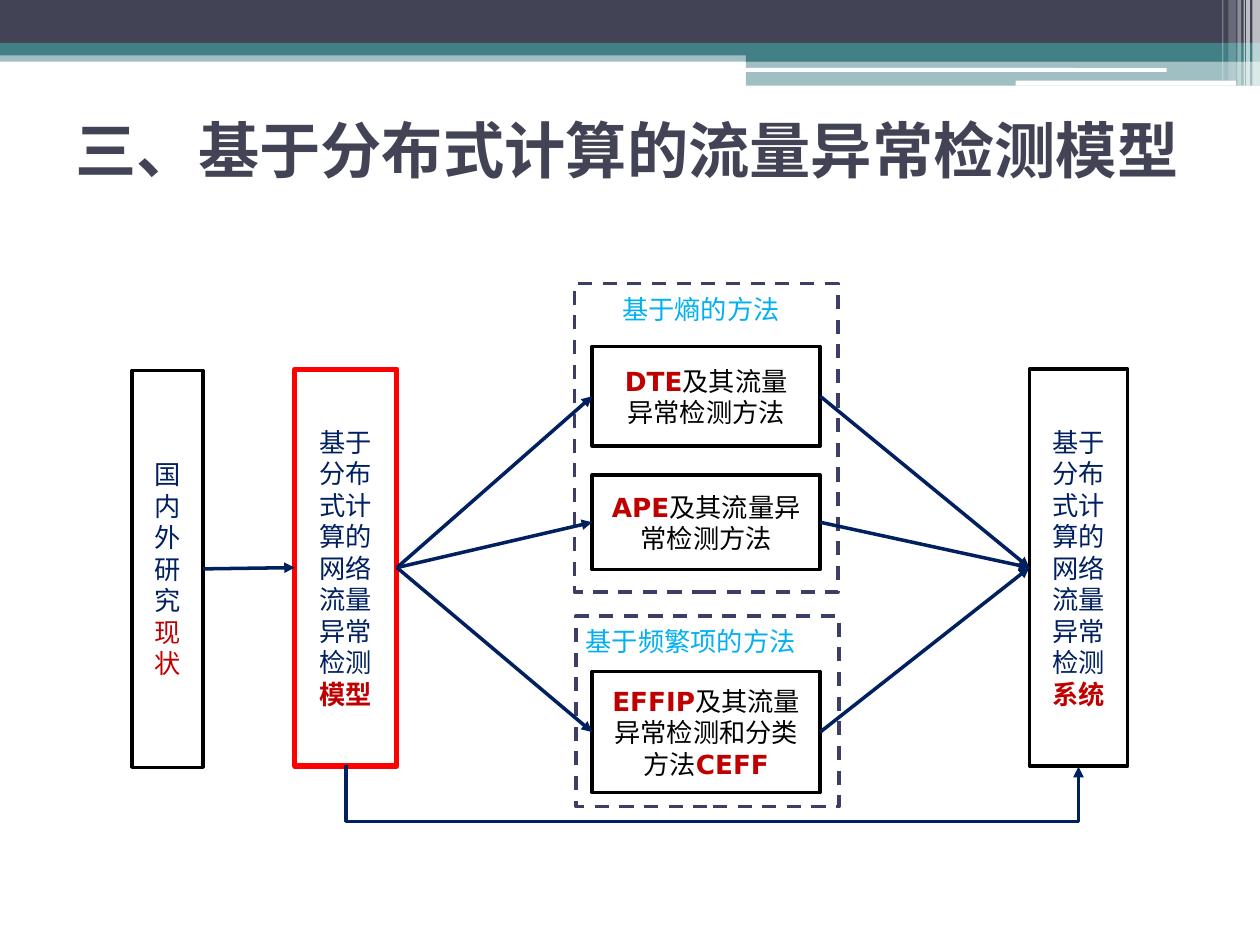
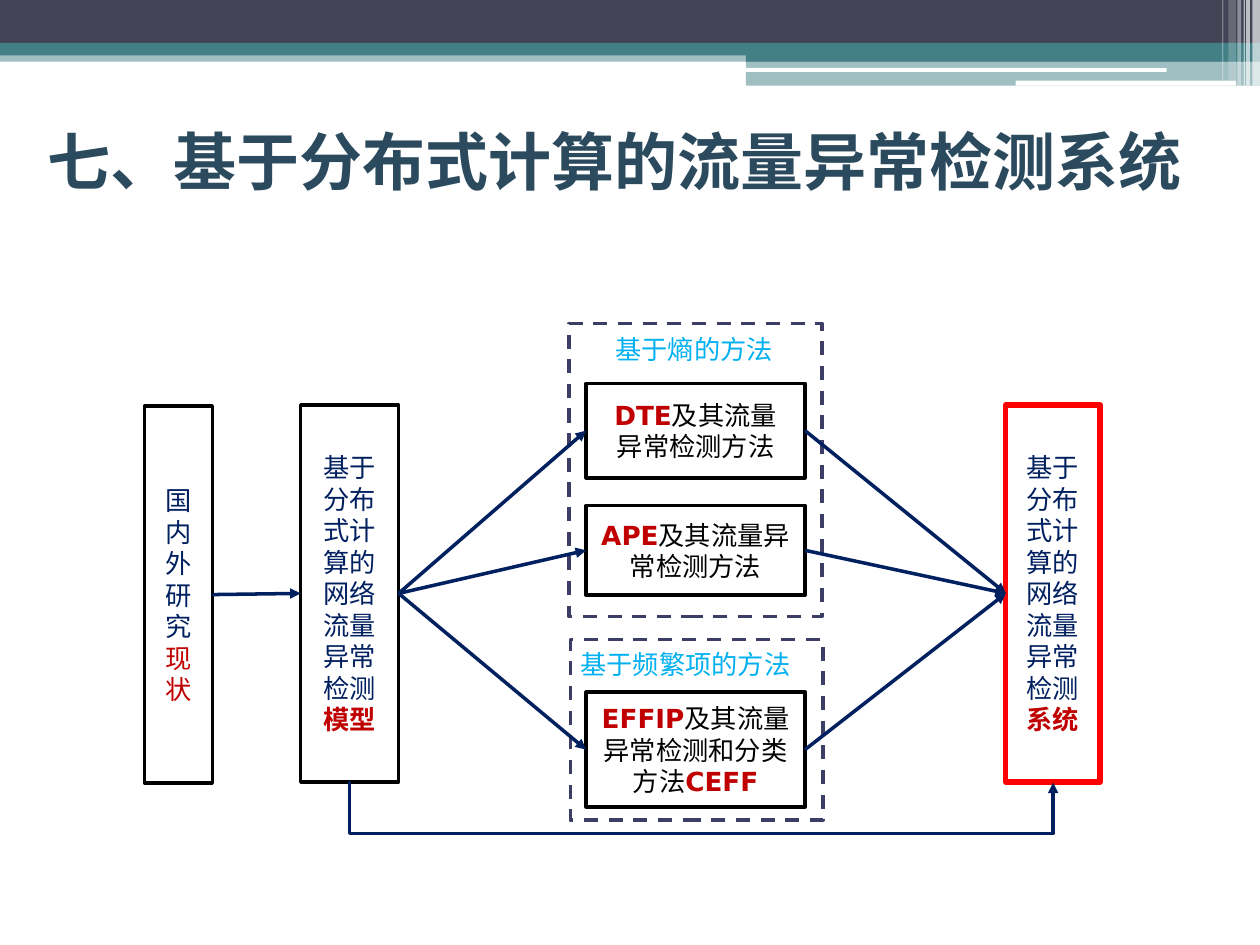
"""Build two slides that show where the model and the system sit in the research on traffic anomalies."""
from lxml.etree import SubElement
from pptx import Presentation
from pptx.dml.color import RGBColor
from pptx.enum.dml import MSO_LINE
from pptx.enum.shapes import MSO_CONNECTOR, MSO_SHAPE
from pptx.enum.text import MSO_ANCHOR, MSO_AUTO_SIZE, PP_ALIGN
from pptx.oxml.ns import qn
from pptx.util import Inches, Pt

COLORS = {
    "slate": "424456", "teal": "438086", "white": "FFFFFF", "steel": "2B4A5E",
    "black": "000000", "highlight": "FF0000", "navy": "002060",
    "crimson": "C00000", "sky": "00B0F0", "dash": "3D3E66",
}
RGB = {name: RGBColor.from_string(value) for name, value in COLORS.items()}
FONT = "DejaVu Sans"


def write(frame, *paragraphs, size=15, font=FONT, align=PP_ALIGN.CENTER,
          anchor=MSO_ANCHOR.MIDDLE, autofit=MSO_AUTO_SIZE.NONE):
    frame.word_wrap = True
    frame.auto_size = autofit
    frame.vertical_anchor = anchor
    for index, runs in enumerate(paragraphs):
        paragraph = frame.add_paragraph() if index else frame.paragraphs[0]
        paragraph.alignment = align
        for text, color, bold in runs:
            run = paragraph.add_run()
            run.text = text
            run.font.name = font
            run.font.size = Pt(size)
            run.font.bold = bold
            run.font.color.rgb = RGB[color]


def draw(slide, place, fill=None, alpha=100, line=None, width=2, kind=MSO_SHAPE.RECTANGLE):
    shape = slide.shapes.add_shape(kind, *map(Inches, place))
    shape.shadow.inherit = False
    if fill:
        shape.fill.solid()
        shape.fill.fore_color.rgb = RGB[fill]
        if alpha < 100:
            color = shape.element.spPr.find(f".//{qn('a:srgbClr')}")
            SubElement(color, qn("a:alpha"), val=str(alpha * 1000))
    else:
        shape.fill.background()
    if line:
        shape.line.color.rgb = RGB[line]
        shape.line.width = Pt(width)
    else:
        shape.line.fill.background()
    return shape


BANDS = [
    ((0, 0.4, 10, 0.09), "teal", 50),
    ((0, 0, 10, 0.34), "slate", 100),
    ((0, 0.34, 10, 0.1), "teal", 100),
    ((5.92, 0.39, 4.08, 0.1), "teal", 100),
    ((5.92, 0.48, 4.08, 0.2), "teal", 50),
    ((5.91, 0.54, 3.35, 0.03), "white", 100),
    ((8.06, 0.64, 1.75, 0.04), "white", 100),
    ((9.94, 0, 0.06, 0.68), "white", 65),
    ((9.89, 0, 0.03, 0.68), "white", 65),
    ((9.87, 0, 0.01, 0.68), "white", 60),
    ((9.82, 0, 0.03, 0.68), "white", 40),
    ((9.75, 0, 0.06, 0.64), "white", 20),
    ((9.7, 0, 0.01, 0.64), "white", 30),
]

SCOPE = ("基于分布式计算的网络流量异常检测", "navy", False)
STEPS = {
    "status": ((1.05, 2.94, 0.56, 3.15),
               [[("国内外研究", "navy", False), ("现状", "crimson", False)]]),
    "model": ((2.34, 2.93, 0.81, 3.15), [[SCOPE, ("模型", "crimson", True)]]),
    "system": ((8.17, 2.93, 0.78, 3.15), [[SCOPE, ("系统", "crimson", True)]]),
    "dte": ((4.7, 2.75, 1.81, 0.79),
            [[("DTE", "crimson", True), ("及其流量", "black", False)],
             [("异常检测方法", "black", False)]]),
    "ape": ((4.7, 3.77, 1.81, 0.75),
            [[("APE", "crimson", True), ("及其流量异常检测方法", "black", False)]]),
    "effip": ((4.7, 5.33, 1.81, 0.96),
              [[("EFFIP", "crimson", True), ("及其流量异常检测和分类方法", "black", False),
                ("CEFF", "crimson", True)]]),
}
METHODS = ["dte", "ape", "effip"]
FLOWS = ([("status", "model")] + [("model", method) for method in METHODS]
         + [(method, "system") for method in METHODS])
FAMILIES = [
    ("基于熵的方法", (4.84, 2.28, 1.67, 0.43), (4.56, 2.25, 2.09, 2.45)),
    ("基于频繁项的方法", (4.55, 4.91, 2.21, 0.43), (4.57, 4.89, 2.09, 1.51)),
]
SECTIONS = [
    {"title": "三、基于分布式计算的流量异常检测模型", "place": (0.5, 0.6, 9, 1.17),
     "size": 35, "color": "slate", "focus": "model",
     "scale": (1, 1), "shift": (0, 0), "detour": 0.45},
    {"title": "七、基于分布式计算的流量异常检测系统", "place": (0.28, 0.69, 9.57, 1.17),
     "size": 36, "color": "steel", "focus": "system",
     "scale": (0.96, 0.95), "shift": (0.14, 0.43), "detour": 0.42},
]

prs = Presentation()
prs.slide_width, prs.slide_height = Inches(10), Inches(7.5)
layout = prs.slide_layouts[5]
slides = [prs.slides.add_slide(layout) for section in SECTIONS]

for number, (place, fill, alpha) in enumerate(BANDS):
    rounded = fill == "white" and alpha == 100
    kind = MSO_SHAPE.ROUNDED_RECTANGLE if rounded else MSO_SHAPE.RECTANGLE
    band = draw(slides[0], place, fill, alpha, kind=kind)
    band.element.nvSpPr.cNvPr.set("id", str(100 + number))
    layout.shapes.element.append(band.element)

for slide, section in zip(slides, SECTIONS):
    title = slide.shapes.title
    title.left, title.top, title.width, title.height = map(Inches, section["place"])
    write(title.text_frame, [(section["title"], section["color"], True)],
          size=section["size"], align=PP_ALIGN.LEFT)

    (scale_x, scale_y), (shift_x, shift_y) = section["scale"], section["shift"]
    fitted = {}
    for place in [step[0] for step in STEPS.values()] + [p for f in FAMILIES for p in f[1:]]:
        left, top, width, height = place
        fitted[place] = (left * scale_x + shift_x, top * scale_y + shift_y,
                         width * scale_x, height * scale_y)

    steps = {}
    for key, (place, paragraphs) in STEPS.items():
        focused = key == section["focus"]
        steps[key] = draw(slide, fitted[place], line="highlight" if focused else "black",
                          width=3 if focused else 2)
        write(steps[key].text_frame, *paragraphs)

    for family, label_place, frame_place in FAMILIES:
        label = slide.shapes.add_textbox(*map(Inches, fitted[label_place]))
        write(label.text_frame, [(family, "sky", False)], font="Calibri", align=PP_ALIGN.LEFT,
              anchor=MSO_ANCHOR.TOP, autofit=MSO_AUTO_SIZE.SHAPE_TO_FIT_TEXT)
        draw(slide, fitted[frame_place], line="dash").line.dash_style = MSO_LINE.DASH

    arrows = []
    for source, target in FLOWS:
        flow = slide.shapes.add_connector(MSO_CONNECTOR.STRAIGHT, 0, 0, 0, 0)
        flow.begin_connect(steps[source], 3)
        flow.end_connect(steps[target], 1)
        arrows.append(flow)

    model, system = steps["model"], steps["system"]
    start_x, end_x = model.left + model.width // 2, system.left + system.width // 2
    center_x, base, span = (start_x + end_x) // 2, model.top + model.height, end_x - start_x
    depth = Inches(0.01)
    bypass = slide.shapes.add_connector(
        MSO_CONNECTOR.ELBOW, center_x + depth // 2, base - span // 2,
        center_x - depth // 2, base + span // 2)
    bypass.element.spPr.find(qn("a:xfrm")).set("rot", str(270 * 60000))
    guides = bypass.element.spPr.find(qn("a:prstGeom")).find(qn("a:avLst"))
    bend = round(section["detour"] / 0.01 * 100000)
    SubElement(guides, qn("a:gd"), name="adj1", fmla=f"val {bend}")
    arrows.append(bypass)

    for arrow in arrows:
        arrow.line.color.rgb = RGB["navy"]
        arrow.line.width = Pt(2)
        SubElement(arrow.element.spPr.find(qn("a:ln")), qn("a:tailEnd"), type="triangle")
        SubElement(arrow.element.spPr, qn("a:effectLst"))

prs.save("out.pptx")
